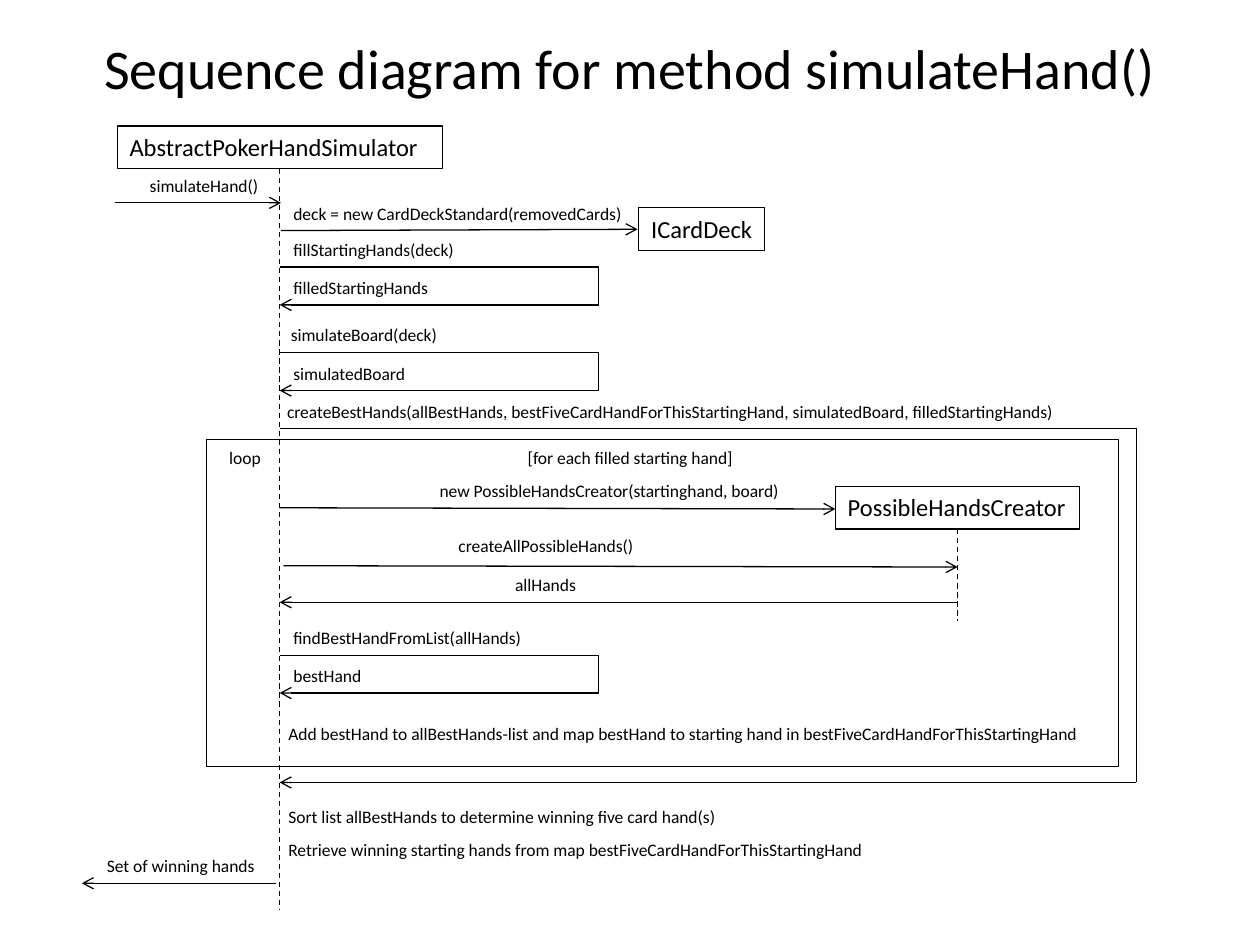
import pptx
import pptx.util
import pptx.dml.color
import pptx.enum.dml
import pptx.enum.shapes
import pptx.enum.text
import pptx.oxml.ns
import lxml.etree
import dataclasses

Inches = pptx.util.Inches


@dataclasses.dataclass(frozen=True)
class Theme:
    font: str = "Calibri"
    ink: str = "000000"
    title: float = 32
    head: float = 14
    note: float = 10
    line: float = 0.75
    frame: float = 0.5
    row: float = 0.27


class Sketch:
    """Draws sequence diagram elements on one slide in one style."""

    def __init__(self, slide, theme):
        self.slide = slide
        self.theme = theme
        self.ink = pptx.dml.color.RGBColor.from_string(theme.ink)

    def label(self, shape, text, size, wrap=True, center=False):
        frame = shape.text_frame
        frame.text = text
        frame.word_wrap = wrap
        align = pptx.enum.text.PP_ALIGN
        anchor = pptx.enum.text.MSO_ANCHOR
        frame.vertical_anchor = anchor.MIDDLE if center else anchor.TOP
        for para in frame.paragraphs:
            para.alignment = align.CENTER if center else align.LEFT
            for run in para.runs:
                run.font.name = self.theme.font
                run.font.size = pptx.util.Pt(size)
                run.font.color.rgb = self.ink

    def title(self, text, left, top, width, height):
        box = self.slide.shapes.add_textbox(
            Inches(left), Inches(top), Inches(width), Inches(height))
        self.label(box, text, self.theme.title, center=True)

    def note(self, text, left, base, width, wrap=True):
        row = self.theme.row
        box = self.slide.shapes.add_textbox(
            Inches(left), Inches(base - row), Inches(width), Inches(row))
        self.label(box, text, self.theme.note, wrap)

    def frame(self, left, top, width, height, weight):
        rect = self.slide.shapes.add_shape(
            pptx.enum.shapes.MSO_SHAPE.RECTANGLE,
            Inches(left), Inches(top), Inches(width), Inches(height))
        rect.shadow.inherit = False
        rect.fill.background()
        rect.line.color.rgb = self.ink
        rect.line.width = pptx.util.Pt(weight)
        return rect

    def head(self, text, left, top, width, wrap=False):
        rect = self.frame(left, top, width, 0.34, self.theme.line)
        self.label(rect, text, self.theme.head, wrap)

    def line(self, start, end, arrow=False, dash=False):
        link = self.slide.shapes.add_connector(
            pptx.enum.shapes.MSO_CONNECTOR.STRAIGHT,
            *(Inches(value) for value in (*start, *end)))
        link.line.color.rgb = self.ink
        link.line.width = pptx.util.Pt(self.theme.line)
        if dash:
            link.line.dash_style = pptx.enum.dml.MSO_LINE.DASH
        qn = pptx.oxml.ns.qn
        shape = link._element.spPr
        if arrow:
            edge = shape.find(qn("a:ln"))
            lxml.etree.SubElement(edge, qn("a:tailEnd"), type="arrow")
        lxml.etree.SubElement(shape, qn("a:effectLst"))

    def loop(self, left, right, top, base):
        self.line((left, top), (right, top))
        self.line((right, top), (right, base))
        self.line((right, base), (left, base), arrow=True)


def main():
    deck = pptx.Presentation()
    deck.slide_width, deck.slide_height = Inches(10), Inches(7.5)
    theme = Theme()
    art = Sketch(deck.slides.add_slide(deck.slide_layouts[6]), theme)
    life, hand = 2.22, 7.6

    art.title("Sequence diagram for method simulateHand()", 0.5, 0.3, 9, 0.46)
    art.frame(1.64, 3.49, 7.24, 2.59, theme.frame)
    art.head("AbstractPokerHandSimulator", 0.93, 1, 2.58, wrap=True)
    art.head("ICardDeck", 5.07, 1.65, 1)
    art.head("PossibleHandsCreator", 6.63, 3.86, 1.94)
    art.line((life, 1.34), (life, 7.22), dash=True)
    art.line((hand, 4.2), (hand, 4.93), dash=True)

    for start, end in (
        ((0.91, 1.61), (2.23, 1.61)),
        ((2.23, 1.83), (5.06, 1.82)),
        ((life, 4.03), (6.63, 4.04)),
        ((2.25, 4.49), (hand, 4.5)),
        ((hand, 4.78), (life, 4.78)),
        ((2.19, 7.01), (0.65, 7.01)),
    ):
        art.line(start, end, arrow=True)

    for top in (2.12, 2.8, 5.2):
        art.loop(life, 4.75, top, top + 0.3)
    art.loop(life, 9.02, 3.4, 6.21)

    for text, left, base, width in (
        ("deck = new CardDeckStandard(removedCards)", 2.23, 1.83, 2.84),
        ("fillStartingHands(deck)", 2.23, 2.12, 1.51),
        ("filledStartingHands", 2.23, 2.42, 1.51),
        ("simulateBoard(deck)", 2.21, 2.79, 2.84),
        ("simulatedBoard", 2.23, 3.1, 1.21),
        ("createBestHands(allBestHands, bestFiveCardHandForThisStartingHand, "
         "simulatedBoard, filledStartingHands)", 2.18, 3.4, 7.1),
        ("new PossibleHandsCreator(startinghand, board)", 3.39, 4.03, 2.99),
        ("createAllPossibleHands()", 3.54, 4.47, 1.72),
        ("allHands", 3.99, 4.78, 0.82),
        ("findBestHandFromList(allHands)", 2.23, 5.2, 2.06),
        ("bestHand", 2.23, 5.5, 1.51),
        ("Add bestHand to allBestHands-list and map bestHand to starting hand "
         "in bestFiveCardHandForThisStartingHand", 2.19, 5.96, 6.52),
        ("Sort list allBestHands to determine winning five card hand(s)",
         2.19, 6.62, 3.72),
        ("Retrieve winning starting hands from map "
         "bestFiveCardHandForThisStartingHand", 2.19, 6.88, 5.04),
        ("Set of winning hands", 0.75, 7.01, 1.61),
    ):
        art.note(text, left, base, width)

    for text, left, base, width in (
        ("simulateHand()", 1.09, 1.61, 1.06),
        ("loop", 1.72, 3.77, 0.45),
        ("[for each filled starting hand]", 4.09, 3.77, 1.83),
    ):
        art.note(text, left, base, width, wrap=False)

    deck.save("out.pptx")


if __name__ == "__main__":
    main()
